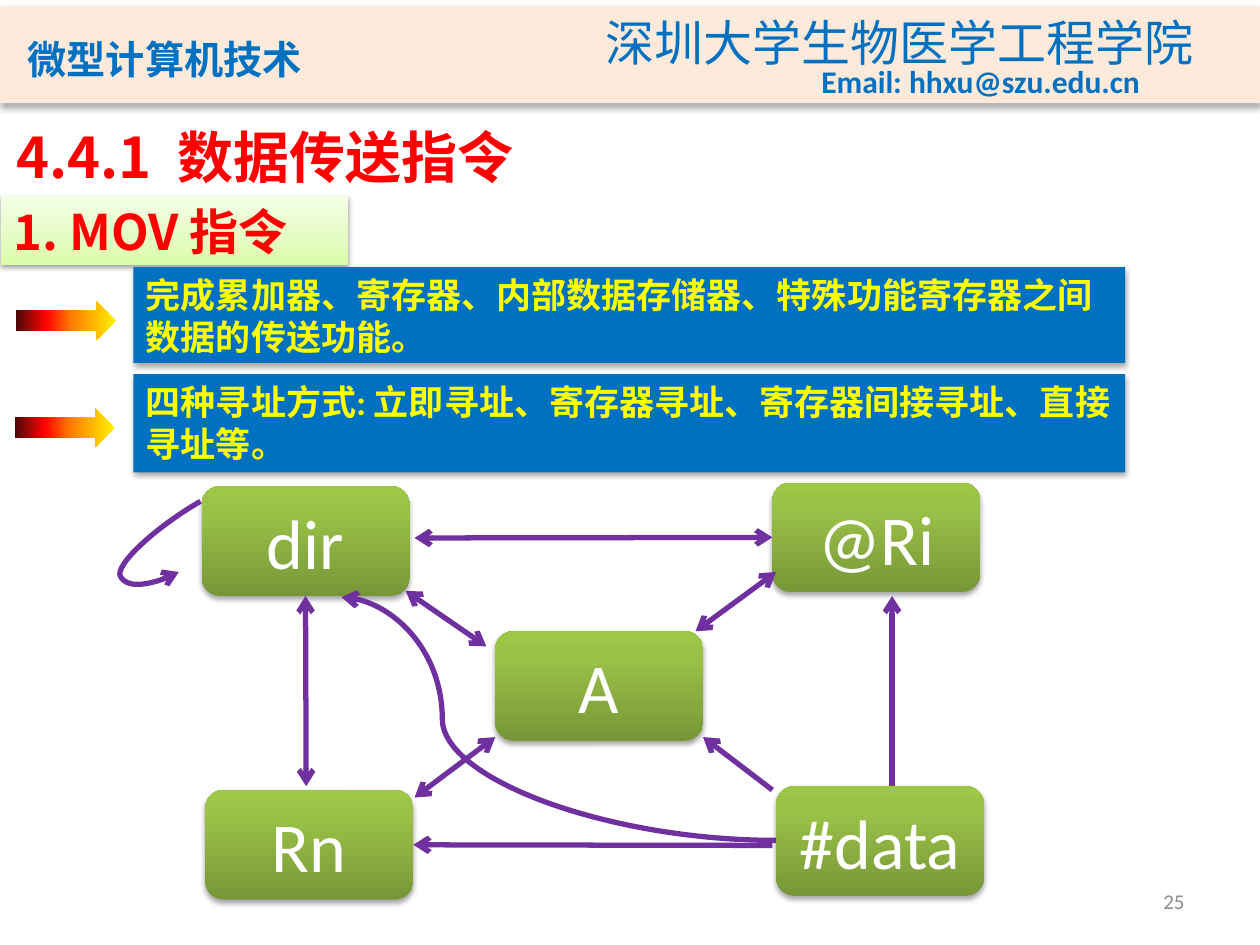
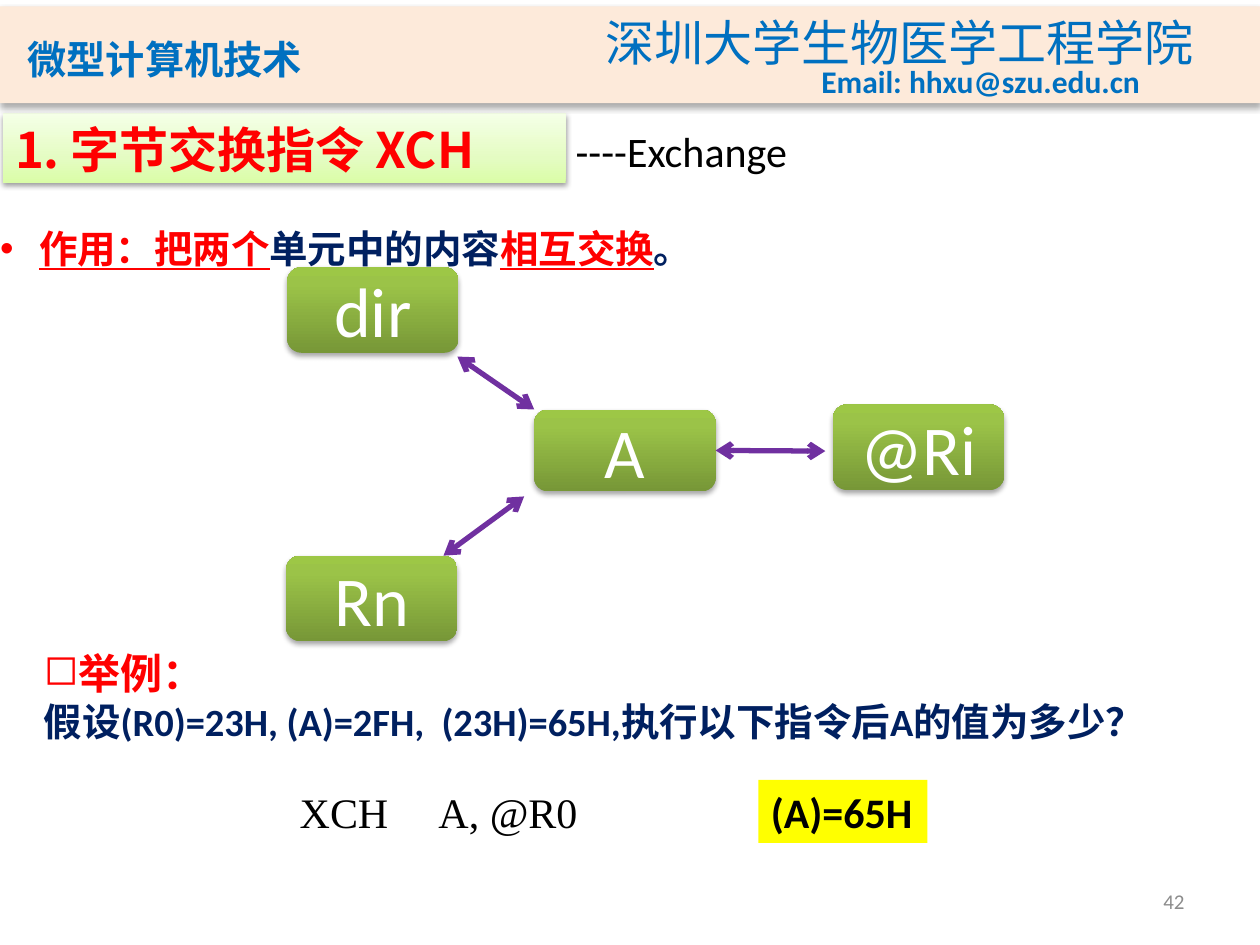
from lxml import etree
from pptx import Presentation
from pptx.dml.color import RGBColor
from pptx.enum.shapes import MSO_CONNECTOR, MSO_SHAPE
from pptx.enum.text import MSO_ANCHOR, MSO_AUTO_SIZE, PP_ALIGN
from pptx.oxml.ns import qn
from pptx.util import Inches, Pt

RECT, ROUND, ARROW = MSO_SHAPE.RECTANGLE, MSO_SHAPE.ROUNDED_RECTANGLE, MSO_SHAPE.RIGHT_ARROW
STRAIGHT, CURVE = MSO_CONNECTOR.STRAIGHT, MSO_CONNECTOR.CURVE
LEFT, CENTER, RIGHT = PP_ALIGN.LEFT, PP_ALIGN.CENTER, PP_ALIGN.RIGHT
TOP, MIDDLE, BOTTOM = MSO_ANCHOR.TOP, MSO_ANCHOR.MIDDLE, MSO_ANCHOR.BOTTOM
FIXED, GROW = MSO_AUTO_SIZE.NONE, MSO_AUTO_SIZE.SHAPE_TO_FIT_TEXT

HUES = {
    "band": "FDEADA", "blue": "0070C0", "red": "FF0000", "navy": "002060",
    "yellow": "FFFF00", "purple": "7030A0", "white": "FFFFFF",
    "black": "000000", "gray": "8C8C8C",
}
BLENDS = {
    "lime": (270, [(0, "DAFDA7"), (35, "E4FCC2"), (100, "F5FFE7")]),
    "green": (270, [(0, "779737"), (80, "9BC348"), (100, "9DC746")]),
    "flame": (180, [(0, "FFF200"), (45, "FF7A00"), (70, "FF0300"), (100, "4D0808")]),
}
SANS, HAN, SERIF = "Calibri", "Noto Sans CJK SC", "Times New Roman"
SOFT = (35, 3.1, 1.8)
PALE = (38, 3.1, 1.6)


def add(parent, tag, **attrs):
    return etree.SubElement(parent, qn(tag), {k: str(v) for k, v in attrs.items()})


def tint(parent, code, alpha=100):
    color = add(parent, "a:srgbClr", val=code)
    if alpha < 100:
        add(color, "a:alpha", val=alpha * 1000)


def cast(effects, alpha, blur, dist):
    shade = add(effects, "a:outerShdw", blurRad=Pt(blur), dist=Pt(dist),
                dir=5400000, algn="ctr", rotWithShape=0)
    tint(shade, HUES["black"], alpha)


def paint(shape, fill, shade=None):
    if fill in BLENDS:
        angle, stops = BLENDS[fill]
        shape.fill.gradient()
        grad = shape._element.spPr.find(qn("a:gradFill"))
        grad.find(qn("a:lin")).set("ang", str(angle * 60000))
        rows = grad.find(qn("a:gsLst"))
        for old in list(rows):
            rows.remove(old)
        for pos, code in stops:
            tint(add(rows, "a:gs", pos=pos * 1000), code)
    else:
        shape.fill.solid()
        shape.fill.fore_color.rgb = RGBColor.from_string(HUES[fill])
    shape.line.fill.background()
    shape.shadow.inherit = False
    if shade:
        cast(shape._element.spPr.find(qn("a:effectLst")), *shade)


def place(shape, box):
    shape.left, shape.top, shape.width, shape.height = map(Inches, box)


def draw(slide, kind, box, fill, shade=None):
    shape = slide.shapes.add_shape(kind, *map(Inches, box))
    paint(shape, fill, shade)
    return shape


def ink(run, size, hue, bold=False, face=SANS):
    font = run.font
    font.size, font.bold, font.name = Pt(size), bold, face
    font.color.rgb = RGBColor.from_string(HUES[hue])
    east = HAN if face in (SANS, SERIF) else face
    run._r.rPr.find(qn("a:latin")).addnext(etree.Element(qn("a:ea"), typeface=east))


def say(shape, text, size, hue, bold=False, face=SANS, align=LEFT, anchor=TOP, wrap=True):
    frame = shape.text_frame
    frame.text = text
    frame.word_wrap = wrap
    frame.auto_size = FIXED if wrap else GROW
    frame.vertical_anchor = anchor
    for line in frame.paragraphs:
        line.alignment = align
        for run in line.runs:
            ink(run, size, hue, bold, face)
    return shape


def note(slide, box, text, size, hue, **style):
    return say(slide.shapes.add_textbox(*map(Inches, box)), text, size, hue, **style)


def mark(line, sign, indent=0):
    props = line._p.get_or_add_pPr()
    props.set("marL", str(Inches(indent)))
    props.set("indent", str(-Inches(indent)))
    add(props, "a:buChar", char=sign)


def frame(slide, page):
    draw(slide, RECT, (0, 0.05, 10, 0.77), "band", (32, 3.5, 2.2))
    course = note(slide, (0.12, 0.16, 3.39, 0.56), "微型计算机技术", 28, "blue",
                  bold=True, face="Noto Sans CJK JP", anchor=BOTTOM)
    course.text_frame.paragraphs[0].runs[0]._r.rPr.set("cap", "small")
    note(slide, (4.71, 0.05, 4.91, 0.57), "深圳大学生物医学工程学院", 28, "blue",
         face=HAN, wrap=False)
    note(slide, (6.42, 0.44, 2.75, 0.4), "Email: hhxu@szu.edu.cn", 18, "blue",
         bold=True, wrap=False)
    note(slide, (7.17, 6.95, 2.33, 0.4), page, 12, "gray", align=RIGHT, anchor=MIDDLE)


def head(shape, text):
    paint(shape, "lime", PALE)
    say(shape, text, 28, "red", bold=True, face=HAN)


def point(slide, left, top, height, text):
    draw(slide, ARROW, (left, top + 0.27, 0.79, 0.31), "flame")
    bar = draw(slide, RECT, (1.06, top, 7.87, height), "blue", SOFT)
    say(bar, text, 20, "yellow", bold=True)


def join(slide, kind, ends, both):
    link = slide.shapes.add_connector(kind, *map(Inches, ends))
    link.line.color.rgb = RGBColor.from_string(HUES["purple"])
    link.line.width = Pt(3)
    line = link._element.spPr.find(qn("a:ln"))
    add(line, "a:headEnd", type="arrow")
    if both:
        add(line, "a:tailEnd", type="arrow")
    add(link._element.spPr, "a:effectLst")
    return link


def graph(slide, left, top, nodes, links, curves=()):
    def shift(ends):
        x1, y1, x2, y2 = ends
        return left + x1, top + y1, left + x2, top + y2

    made = {}
    for name, (x, y, wide, high) in nodes.items():
        node = draw(slide, ROUND, (left + x, top + y, wide, high), "green", SOFT)
        made[name] = say(node, name, 40, "white", align=CENTER, anchor=MIDDLE)
    for ends, both, start, stop in links:
        link = join(slide, STRAIGHT, shift(ends), both)
        if start:
            link.begin_connect(made[start[0]], start[1])
        if stop:
            link.end_connect(made[stop[0]], stop[1])
    for ends, bend, turn in curves:
        props = join(slide, CURVE, shift(ends), False)._element.spPr
        guides = props.find(qn("a:prstGeom")).find(qn("a:avLst"))
        add(guides, "a:gd", name="adj1", fmla=f"val {bend}")
        props.find(qn("a:xfrm")).set("rot", str(turn * 60000))


def moves(deck):
    slide = deck.slides.add_slide(deck.slide_layouts[5])
    frame(slide, "25")
    title = slide.shapes.title
    place(title, (0.03, 0.92, 4.76, 0.55))
    say(title, "4.4.1  数据传送指令", 32, "red", bold=True, face=HAN)
    props = title.text_frame.paragraphs[0].runs[0]._r.rPr
    effects = etree.Element(qn("a:effectLst"))
    cast(effects, 43, 3, 3)
    props.find(qn("a:solidFill")).addnext(effects)
    head(slide.shapes.add_shape(RECT, *map(Inches, (0.01, 1.55, 2.75, 0.55))), "1. MOV 指令")
    point(slide, 0.13, 2.12, 0.76,
          "完成累加器、寄存器、内部数据存储器、特殊功能寄存器之间数据的传送功能。")
    point(slide, 0.12, 2.97, 0.78,
          "四种寻址方式: 立即寻址、寄存器寻址、寄存器间接寻址、直接寻址等。")
    size = (1.65, 0.87)
    nodes = {
        "A": (2.33, 1.18, *size), "dir": (0, 0.03, *size), "Rn": (0.03, 2.44, *size),
        "@Ri": (4.53, 0, *size), "#data": (4.56, 2.41, *size),
    }
    links = [
        ((1.62, 0.86, 2.26, 1.3), True, None, None),
        ((3.92, 1.18, 4.56, 0.71), True, None, None),
        ((1.69, 2.5, 2.33, 2.02), True, None, None),
        ((1.69, 0.44, 4.53, 0.44), True, None, ("@Ri", 1)),
        ((0.83, 0.9, 0.83, 2.41), True, ("dir", 2), None),
        ((5.48, 0.9, 5.48, 2.41), False, None, None),
        ((1.66, 2.88, 4.53, 2.88), False, ("Rn", 3), None),
        ((3.98, 2.02, 4.53, 2.44), False, None, None),
    ]
    curves = [
        ((1.11, 0.91, 4.56, 2.84), 23200, 0),
        ((-0.31, 0.63, 0.12, 0.23), -97600, 330),
    ]
    graph(slide, 1.6, 3.83, nodes, links, curves)


def effect(body):
    place(body, (-0.1, 1.55, 9.98, 0.66))
    body.text_frame.auto_size = FIXED
    line = body.text_frame.paragraphs[0]
    line.line_spacing = 1.5
    line.space_before = Pt(0)
    mark(line, "•", 0.31)
    parts = [("作用：把两个", True), ("单元中的内容", False), ("相互交换", True), ("。", False)]
    for text, key in parts:
        run = line.add_run()
        run.text = text
        ink(run, 22, "red" if key else "navy", bold=True)
        run.font.underline = key


def sample(slide, left, top):
    box = note(slide, (left, top, 9.41, 0.86),
               "举例：\n假设(R0)=23H, (A)=2FH,  (23H)=65H,执行以下指令后A的值为多少？",
               22, "navy", bold=True)
    first = box.text_frame.paragraphs[0]
    mark(first, "◻")
    first.runs[0].font.size = Pt(24)
    first.runs[0].font.color.rgb = RGBColor.from_string(HUES["red"])
    note(slide, (left + 2.03, top + 1.1, 2.51, 0.5), "XCH     A, @R0", 24, "black",
         face=SERIF, wrap=False)
    reply = draw(slide, RECT, (left + 5.77, top + 1.1, 1.34, 0.5), "yellow")
    say(reply, "(A)=65H", 24, "black", bold=True, wrap=False)


def swap(deck):
    slide = deck.slides.add_slide(deck.slide_layouts[1])
    frame(slide, "42")
    title = slide.shapes.title
    place(title, (0.02, 0.9, 4.47, 0.55))
    head(title, "1. 字节交换指令 XCH")
    note(slide, (4.47, 0.95, 1.9, 0.5), "----Exchange", 24, "black", wrap=False)
    effect(slide.placeholders[1])
    size = (1.36, 0.68)
    nodes = {
        "A": (1.97, 1.13, 1.44, 0.65), "@Ri": (4.34, 1.09, *size),
        "dir": (0.01, 0, *size), "Rn": (0, 2.29, *size),
    }
    links = [
        ((3.41, 1.46, 4.28, 1.46), True, ("A", 3), None),
        ((1.25, 2.29, 1.89, 1.82), True, None, None),
        ((1.36, 0.71, 1.97, 1.13), True, None, None),
    ]
    graph(slide, 2.27, 2.12, nodes, links)
    sample(slide, 0.25, 5.09)


def main():
    deck = Presentation()
    deck.slide_width, deck.slide_height = Inches(10), Inches(7.5)
    moves(deck)
    swap(deck)
    deck.save("out.pptx")


if __name__ == "__main__":
    main()
